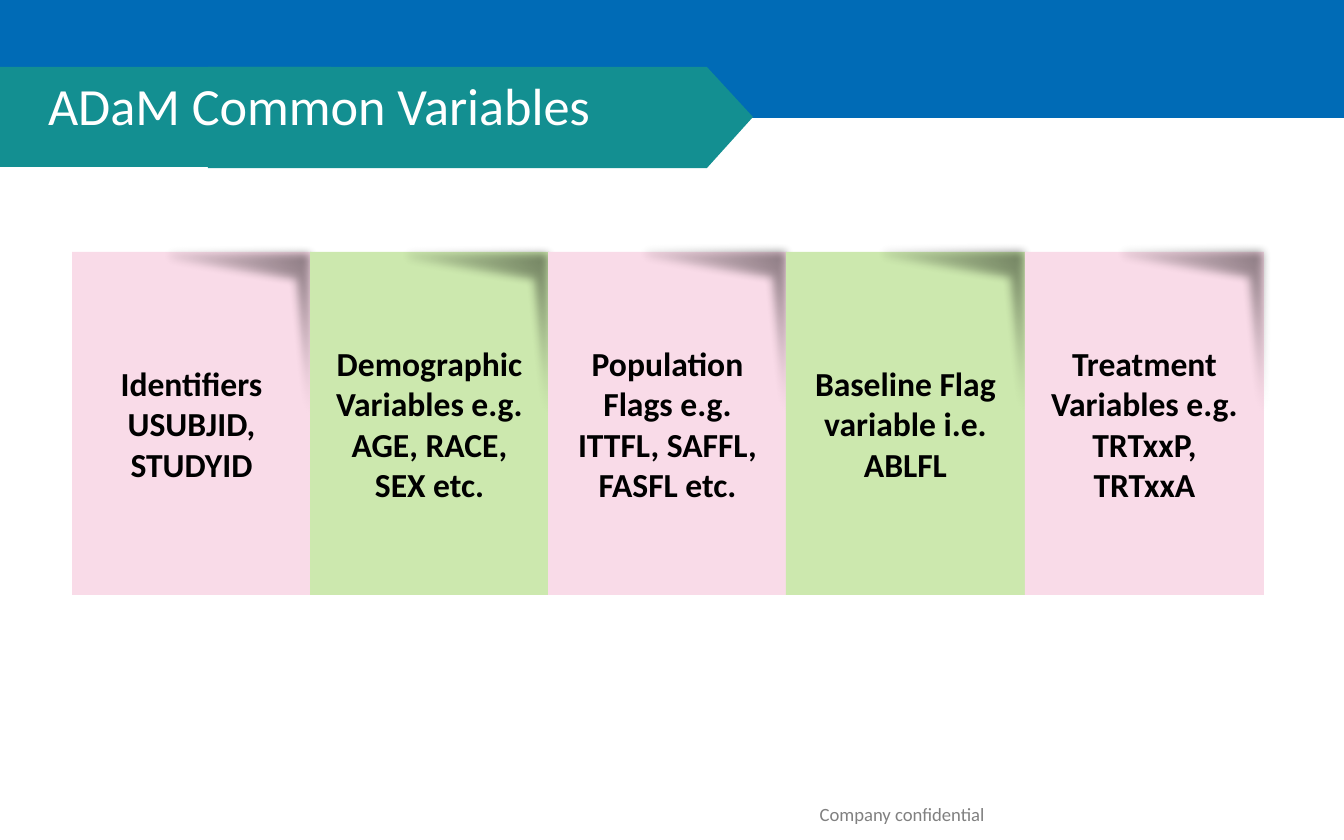
from lxml.etree import SubElement
from pptx import Presentation
from pptx.dml.color import RGBColor
from pptx.enum.shapes import MSO_SHAPE
from pptx.enum.text import MSO_ANCHOR, PP_ALIGN
from pptx.oxml import parse_xml
from pptx.oxml.ns import nsdecls, qn
from pptx.util import Pt

EMU_PER_PX = 9144000 / 1344
COLORS = {
    "blue": "006BB6",
    "teal": "138F91",
    "pink": "F9DBE8",
    "green": "CCE8AE",
    "black": "000000",
    "white": "FFFFFF",
    "gray": "808080",
}
VARIABLE_GROUPS = [
    ["Identifiers", "USUBJID, STUDYID"],
    ["Demographic Variables e.g. AGE, RACE, SEX etc."],
    ["Population Flags e.g. ITTFL, SAFFL, FASFL etc."],
    ["Baseline Flag variable i.e. ABLFL"],
    ["Treatment Variables e.g. TRTxxP, TRTxxA"],
]
FOLD_POINTS = [(160, 0), (160, 231), (145, 230), (128, 44), (2, 24)]
FOLD_GRADIENT = f"""<a:gradFill {nsdecls("a")} rotWithShape="1">
<a:gsLst>
<a:gs pos="0"><a:srgbClr val="{COLORS['black']}"><a:alpha val="50000"/></a:srgbClr></a:gs>
<a:gs pos="51000"><a:srgbClr val="{COLORS['black']}"><a:alpha val="0"/></a:srgbClr></a:gs>
</a:gsLst>
<a:path path="circle"><a:fillToRect l="100000" b="100000"/></a:path>
</a:gradFill>"""


def paint(shape, color):
    shape.shadow.inherit = False
    shape.fill.solid()
    shape.fill.fore_color.rgb = RGBColor.from_string(COLORS[color])
    shape.line.fill.background()


def write(shape, lines, size, color, anchor, bold=False, wrap=True):
    frame = shape.text_frame
    frame.word_wrap = wrap
    frame.vertical_anchor = anchor
    frame.text = "\n".join(lines)
    for paragraph in frame.paragraphs:
        paragraph.alignment = PP_ALIGN.CENTER
        paragraph.font.name = "Calibri"
        paragraph.font.size = Pt(size)
        paragraph.font.bold = bold
        paragraph.font.color.rgb = RGBColor.from_string(COLORS[color])


prs = Presentation()
prs.slide_width = round(1344 * EMU_PER_PX)
prs.slide_height = round(840 * EMU_PER_PX)
shapes = prs.slides.add_slide(prs.slide_layouts[6]).shapes

for width, top, height, color in [(1344, 0, 118, "blue"), (331, 67, 100, "teal")]:
    band = shapes.add_shape(
        MSO_SHAPE.RECTANGLE, 0,
        *(round(px * EMU_PER_PX) for px in (top, width, height)),
    )
    paint(band, color)

ribbon_outline = shapes.build_freeform(707, 67, EMU_PER_PX)
ribbon_outline.add_line_segments([(753, 117), (707, 168), (208, 168), (208, 67)])
paint(ribbon_outline.convert_to_shape(), "teal")

title = shapes.add_textbox(*(round(px * EMU_PER_PX) for px in (1, 65, 636, 79)))
write(title, ["ADaM Common Variables"], 28, "white", MSO_ANCHOR.MIDDLE)

for index, lines in enumerate(VARIABLE_GROUPS):
    left = 72 + index * 953 // 4
    card = shapes.add_shape(
        MSO_SHAPE.RECTANGLE,
        *(round(px * EMU_PER_PX) for px in (left, 252, 239, 343)),
    )
    paint(card, "green" if index % 2 else "pink")
    write(card, lines, 18, "black", MSO_ANCHOR.MIDDLE, bold=True)

    fold_left = left + 87
    fold_top = 245 if index < 2 else 243
    fold_outline = shapes.build_freeform(fold_left, fold_top, EMU_PER_PX)
    fold_outline.add_line_segments([(fold_left + x, fold_top + y) for x, y in FOLD_POINTS])
    fold = fold_outline.convert_to_shape()
    paint(fold, "black")
    properties = fold._element.spPr
    properties.replace(properties.find(qn("a:solidFill")), parse_xml(FOLD_GRADIENT))
    SubElement(properties.find(qn("a:effectLst")), qn("a:softEdge"), rad="63500")

footer = shapes.add_textbox(*(round(px * EMU_PER_PX) for px in (695, 799, 414, 31)))
write(footer, ["Company confidential"], 10, "gray", MSO_ANCHOR.MIDDLE, wrap=False)

prs.save("out.pptx")
